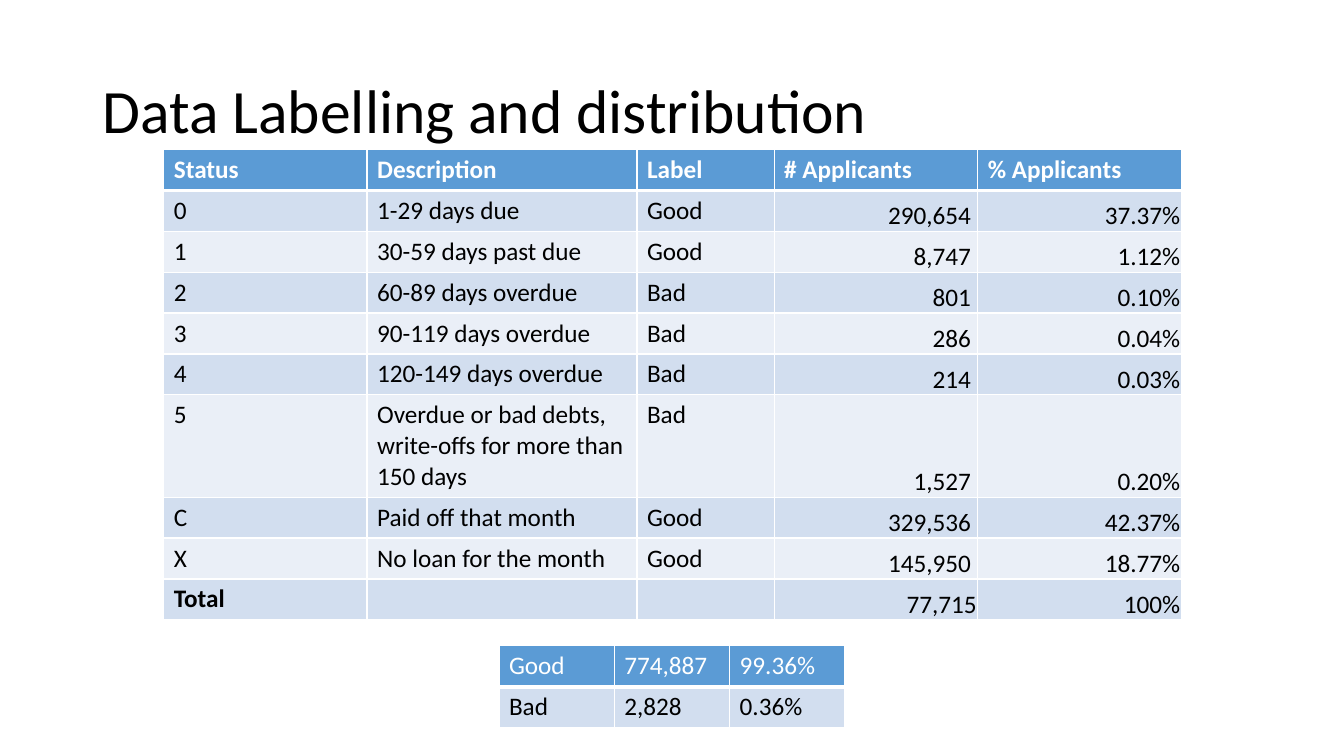
import pptx
import pptx.dml.color
import pptx.enum.text
import pptx.oxml
import pptx.oxml.ns
import pptx.util

Pt = pptx.util.Pt
PP_ALIGN = pptx.enum.text.PP_ALIGN
MSO_ANCHOR = pptx.enum.text.MSO_ANCHOR

# Content
TITLE = "Data Labelling and distribution"
STATUS_ROWS = [
    ("Status", "Description", "Label", "# Applicants", "% Applicants"),
    ("0", "1-29 days due", "Good", "290,654", "37.37%"),
    ("1", "30-59 days past due", "Good", "8,747", "1.12%"),
    ("2", "60-89 days overdue", "Bad", "801", "0.10%"),
    ("3", "90-119 days overdue", "Bad", "286", "0.04%"),
    ("4", "120-149 days overdue", "Bad", "214", "0.03%"),
    ("5", "Overdue or bad debts, write-offs for more than 150 days", "Bad",
     "1,527", "0.20%"),
    ("C", "Paid off that month", "Good", "329,536", "42.37%"),
    ("X", "No loan for the month", "Good", "145,950", "18.77%"),
    ("Total", "", "", "77,715", "100%"),
]
SUMMARY_ROWS = [("Good", "774,887", "99.36%"), ("Bad", "2,828", "0.36%")]

# Style
FONT = "Calibri"
WHITE, BLACK, HEADER = "FFFFFF", "000000", "5B9BD5"
BANDS = ("D2DEEF", "EAEFF7")
ROW_H, TALL_ROW_H = 29.2, 72


def rgb(value):
    return pptx.dml.color.RGBColor.from_string(value)


def format_runs(p, size, color, bold=False):
    for r in p.runs:
        r.font.name = FONT
        r.font.size = Pt(size)
        r.font.bold = bold
        r.font.color.rgb = rgb(color)


def set_borders(cell, bottom):
    tcPr = cell._tc.get_or_add_tcPr()
    for side, width in (("L", 1), ("R", 1), ("T", 1), ("B", bottom)):
        tcPr.append(pptx.oxml.parse_xml(
            f'<a:ln{side} {pptx.oxml.ns.nsdecls("a")} w="{Pt(width)}">'
            f'<a:solidFill><a:srgbClr val="{WHITE}"/></a:solidFill></a:ln{side}>'))


def add_grid(slide, rows, left, top, col_widths, bold_header):
    shape = slide.shapes.add_table(len(rows), len(col_widths), Pt(left), Pt(top),
                                   Pt(sum(col_widths)), Pt(ROW_H * len(rows)))
    table = shape.table
    for column, width in zip(table.columns, col_widths):
        column.width = Pt(width)
    for i, row in enumerate(rows):
        table.rows[i].height = Pt(ROW_H)
        for j, text in enumerate(row):
            cell = table.cell(i, j)
            set_borders(cell, 1 if i else 3)
            cell.fill.solid()
            cell.fill.fore_color.rgb = rgb(BANDS[(i - 1) % 2] if i else HEADER)
            p = cell.text_frame.paragraphs[0]
            p.text = text
            bold = text == "Total" or (i == 0 and bold_header)
            format_runs(p, 18, BLACK if i else WHITE, bold)
    return table


prs = pptx.Presentation()
prs.slide_width, prs.slide_height = Pt(960), Pt(540)
slide = prs.slides.add_slide(prs.slide_layouts[5])

# Title
title = slide.shapes.title
title.left, title.top, title.width, title.height = Pt(66), Pt(28.75), Pt(828), Pt(104.4)
title.text_frame.text = TITLE
title.text_frame.vertical_anchor = MSO_ANCHOR.MIDDLE
p = title.text_frame.paragraphs[0]
p.alignment = PP_ALIGN.LEFT
p.line_spacing = 0.9
format_runs(p, 44, BLACK)

# Good and bad totals
add_grid(slide, SUMMARY_ROWS, 356.4, 461.3, [82.4] * 3, False)

# Applicants by status, with figures set bottom right
table = add_grid(slide, STATUS_ROWS, 117, 106.8, [145.2, 192.8, 98, 145.4, 145.4], True)
table.rows[6].height = Pt(TALL_ROW_H)
last = len(STATUS_ROWS) - 1
for i in range(1, last + 1):
    for j in (3, 4):
        cell = table.cell(i, j)
        cell.vertical_anchor = MSO_ANCHOR.BOTTOM
        cell.margin_left = cell.margin_top = Pt(0.75)
        cell.margin_right = Pt(4.8 if j == 3 and i < last else 0.75)
        cell.margin_bottom = Pt(0)
        cell.text_frame.paragraphs[0].alignment = PP_ALIGN.RIGHT

prs.save("out.pptx")
